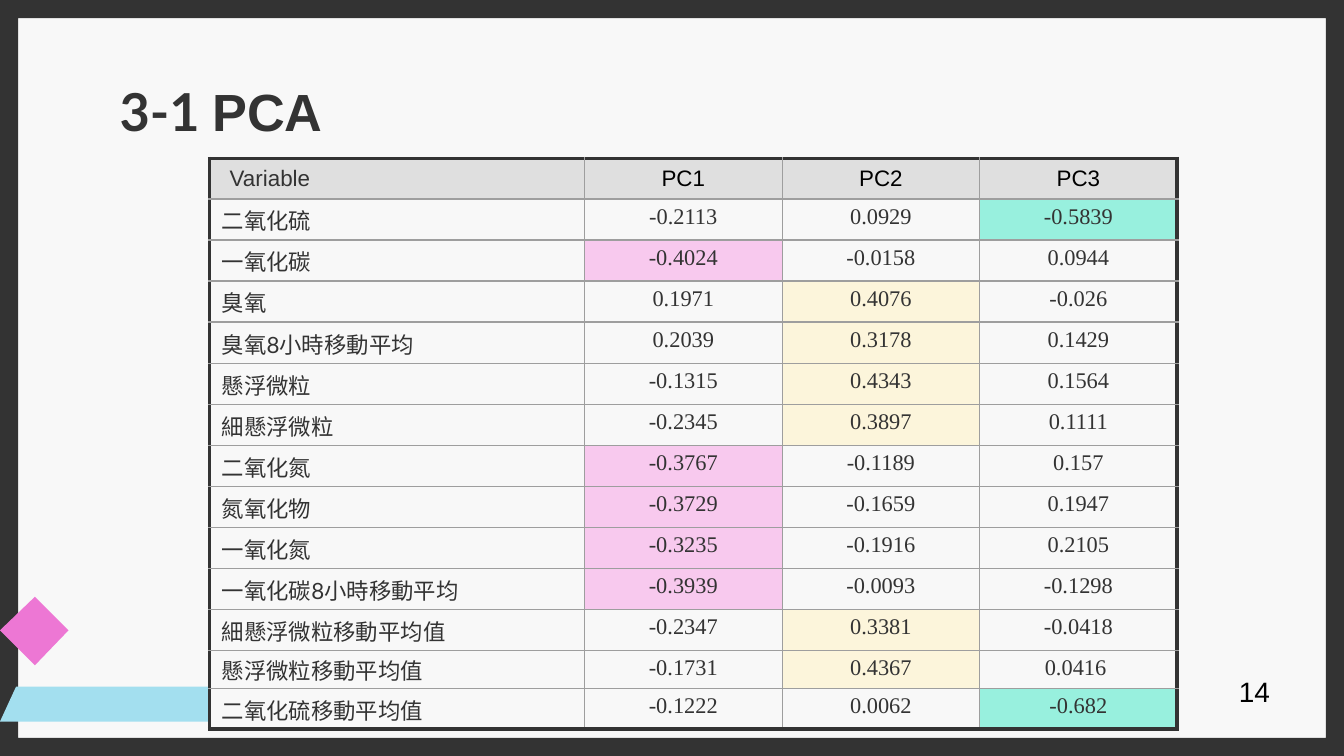
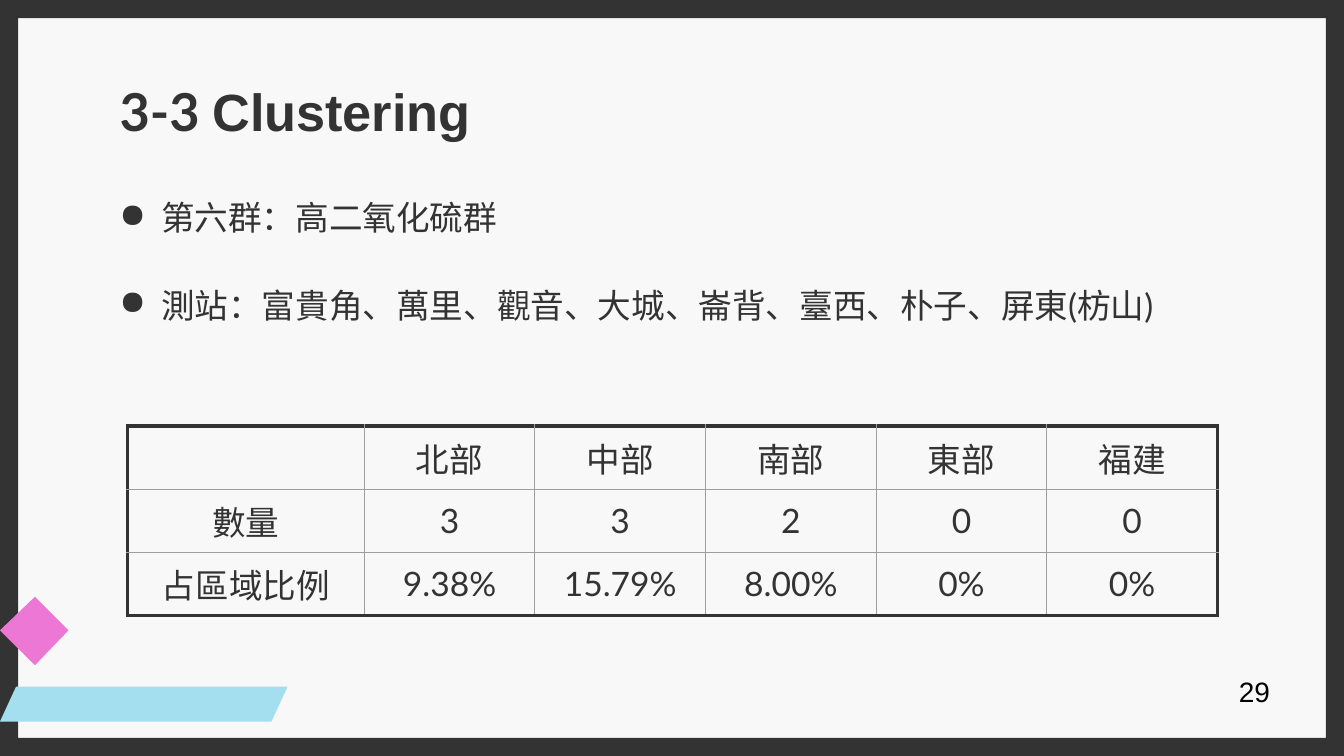
import pptx
import pptx.dml.color
import pptx.enum.shapes
import pptx.enum.text
import pptx.oxml
import pptx.oxml.ns
import pptx.util

Inch = pptx.util.Inches
Pt = pptx.util.Pt
RGB = pptx.dml.color.RGBColor
Align = pptx.enum.text.PP_ALIGN
Anchor = pptx.enum.text.MSO_ANCHOR

DARK = RGB(0x33, 0x33, 0x33)
BLACK = RGB(0, 0, 0)
PAPER = RGB(0xF8, 0xF8, 0xF8)
GRAY = RGB(0x9E, 0x9E, 0x9E)
HEAD = RGB(0xDF, 0xDF, 0xDF)
BLUE = RGB(0xA3, 0xDF, 0xEF)
PINK = RGB(0xED, 0x77, 0xD4)
MARKS = [RGB(0xF8, 0xC9, 0xEE), RGB(0xFC, 0xF5, 0xDB), RGB(0x98, 0xF0, 0xDE)]

WIDE, HIGH = 10, 5.625
LATO, ARIAL, TIMES = "Lato", "Arial", "Times New Roman"
LIMIT = 0.3  # loadings at least this strong are marked

# Outlines in hundredths of an inch
RIBBON = [(202, 537), (0, 537), (12, 511), (214, 511)]
GEM = [(0, 469), (26, 444), (51, 469), (26, 495)]

LOADS = [
    ("Variable", "PC1", "PC2", "PC3"),
    ("二氧化硫", "-0.2113", "0.0929", "-0.5839"),
    ("一氧化碳", "-0.4024", "-0.0158", "0.0944"),
    ("臭氧", "0.1971", "0.4076", "-0.026"),
    ("臭氧8小時移動平均", "0.2039", "0.3178", "0.1429"),
    ("懸浮微粒", "-0.1315", "0.4343", "0.1564"),
    ("細懸浮微粒", "-0.2345", "0.3897", "0.1111"),
    ("二氧化氮", "-0.3767", "-0.1189", "0.157"),
    ("氮氧化物", "-0.3729", "-0.1659", "0.1947"),
    ("一氧化氮", "-0.3235", "-0.1916", "0.2105"),
    ("一氧化碳8小時移動平均", "-0.3939", "-0.0093", "-0.1298"),
    ("細懸浮微粒移動平均值", "-0.2347", "0.3381", "-0.0418"),
    ("懸浮微粒移動平均值", "-0.1731", "0.4367", "0.0416 "),
    ("二氧化硫移動平均值", "-0.1222", "0.0062", "-0.682"),
]
AREAS = [
    ("", "北部", "中部", "南部", "東部", "福建"),
    ("數量", "3", "3", "2", "0", "0"),
    ("占區域比例", "9.38%", "15.79%", "8.00%", "0%", "0%"),
]
POINTS = [
    "第六群：高二氧化硫群",
    "測站：富貴角、萬里、觀音、大城、崙背、臺西、朴子、屏東(枋山)",
]


def write(para, text, size, face, color=DARK, bold=False):
    run = para.add_run()
    run.text = text
    font = run.font
    font.size, font.name, font.bold = Pt(size), face, bold
    font.color.rgb = color


def paint(shape, color):
    shape.shadow.inherit = False
    shape.fill.solid()
    shape.fill.fore_color.rgb = color
    shape.line.fill.background()


def inset(item, left, top, right, bottom):
    item.margin_left, item.margin_top = Inch(left), Inch(top)
    item.margin_right, item.margin_bottom = Inch(right), Inch(bottom)


def start(deck, number, topic, page):
    """Add a slide with its frame, corner art, page number and title."""
    slide = deck.slides.add_slide(deck.slide_layouts[5])
    shapes = slide.shapes
    frame = shapes.add_shape(pptx.enum.shapes.MSO_SHAPE.FRAME, 0, 0,
                             deck.slide_width, deck.slide_height)
    frame.adjustments[0] = 0.024
    paint(frame, DARK)
    for dots, color in ((RIBBON, BLUE), (GEM, PINK)):
        path = shapes.build_freeform(*dots[0], scale=Inch(0.01))
        path.add_line_segments(dots[1:], close=True)
        paint(path.convert_to_shape(), color)

    box = shapes.add_textbox(Inch(9.12), Inch(4.97), Inch(0.46), Inch(0.35))
    box.text_frame.word_wrap = False
    write(box.text_frame.paragraphs[0], page, 15, ARIAL, BLACK)

    title = shapes.title
    title.left, title.top = Inch(0.79), Inch(0.49)
    title.width, title.height = Inch(8.43), Inch(0.67)
    body = title.text_frame
    body.auto_size = pptx.enum.text.MSO_AUTO_SIZE.NONE
    body.vertical_anchor = Anchor.MIDDLE
    inset(body, 0.1, 0.1, 0.1, 0.1)
    para = body.paragraphs[0]
    para.alignment = Align.LEFT
    write(para, number + " ", 28, LATO, bold=True)
    write(para, topic, 28, ARIAL, bold=True)
    return slide


def edge(cell, sides):
    """Rule each side of a cell: dark and thick if outer, else thin gray."""
    props = cell._tc.get_or_add_tcPr()
    for spot, (side, outer) in enumerate(zip("LRTB", sides)):
        color, width = (DARK, 2.25) if outer else (GRAY, 0.75)
        props.insert(spot, pptx.oxml.parse_xml(
            f'<a:ln{side} {pptx.oxml.ns.nsdecls("a")} w="{Pt(width)}">'
            f'<a:solidFill><a:srgbClr val="{color}"/></a:solidFill>'
            f'</a:ln{side}>'))


def grid(slide, left, top, cols, rows, data, style):
    """Add a table; style(cell, row, col, text) formats and fills each cell."""
    table = slide.shapes.add_table(
        len(rows), len(cols), Inch(left), Inch(top),
        Inch(sum(cols)), Inch(sum(rows))).table
    table.first_row = table.horz_banding = False
    for col, width in zip(table.columns, cols):
        col.width = Inch(width)
    for row, height in zip(table.rows, rows):
        row.height = Inch(height)
    for r, line in enumerate(data):
        for c, text in enumerate(line):
            cell = table.cell(r, c)
            cell.vertical_anchor = Anchor.MIDDLE
            cell.text_frame.paragraphs[0].alignment = Align.CENTER
            color = style(cell, r, c, text)
            if color is None:
                cell.fill.background()
            else:
                cell.fill.solid()
                cell.fill.fore_color.rgb = color
            edge(cell, (c == 0, c == len(cols) - 1,
                        r == 0, r == len(rows) - 1))


def load(cell, r, c, text):
    para = cell.text_frame.paragraphs[0]
    if c == 0:
        para.alignment = Align.LEFT
        para._p.get_or_add_pPr().set("marL", str(Inch(0.08)))
    if r == 0:
        inset(cell, 0.07, 0, 0.07, 0)
        write(para, text, 12, ARIAL, BLACK if c else DARK)
        return HEAD
    if c == 0:
        inset(cell, 0.01, 0.01, 0.01, 0)
        write(para, text, 12, LATO)
        return PAPER
    inset(cell, 0.04, 0.04, 0.04, 0.04)
    cell.vertical_anchor = Anchor.TOP
    write(para, text, 12, TIMES)
    return MARKS[c - 1] if abs(float(text)) >= LIMIT else None


def area(cell, r, c, text):
    if text:
        write(cell.text_frame.paragraphs[0], text, 18, LATO)
    return PAPER


def bullets(slide, lines):
    box = slide.shapes.add_textbox(Inch(0.79), Inch(1.18), Inch(9), Inch(3.7))
    body = box.text_frame
    body.word_wrap = True
    inset(body, 0.1, 0.1, 0.1, 0.1)
    for i, text in enumerate(lines):
        para = body.add_paragraph() if i else body.paragraphs[0]
        props = para._p.get_or_add_pPr()
        props.set("marL", str(Inch(0.31)))
        props.set("indent", str(-Inch(0.31)))
        space = pptx.oxml.ns.nsdecls("a")
        for tag in (f'<a:buClr {space}><a:srgbClr val="{DARK}"/></a:buClr>',
                    f'<a:buChar {space} char="●"/>'):
            props.append(pptx.oxml.parse_xml(tag))
        para.line_spacing = Pt(35)
        para.space_after = Pt(12)
        write(para, text, 18, LATO)


def main():
    deck = pptx.Presentation()
    deck.slide_width, deck.slide_height = Inch(WIDE), Inch(HIGH)
    back = deck.slide_master.background.fill
    back.solid()
    back.fore_color.rgb = PAPER

    slide = start(deck, "3-1", "PCA", "14")
    step = (4.24 - 0.3 - 0.27) / 12
    rows = [0.3] + [step] * 11 + [0.27, step]
    grid(slide, 1.56, 1.18, [2.79] + [1.47] * 3, rows, LOADS, load)

    slide = start(deck, "3-3", "Clustering", "29")
    bullets(slide, POINTS)
    grid(slide, 0.95, 3.17, [1.76] + [1.27] * 5, [0.47] * 3, AREAS, area)

    deck.save("out.pptx")


if __name__ == "__main__":
    main()
